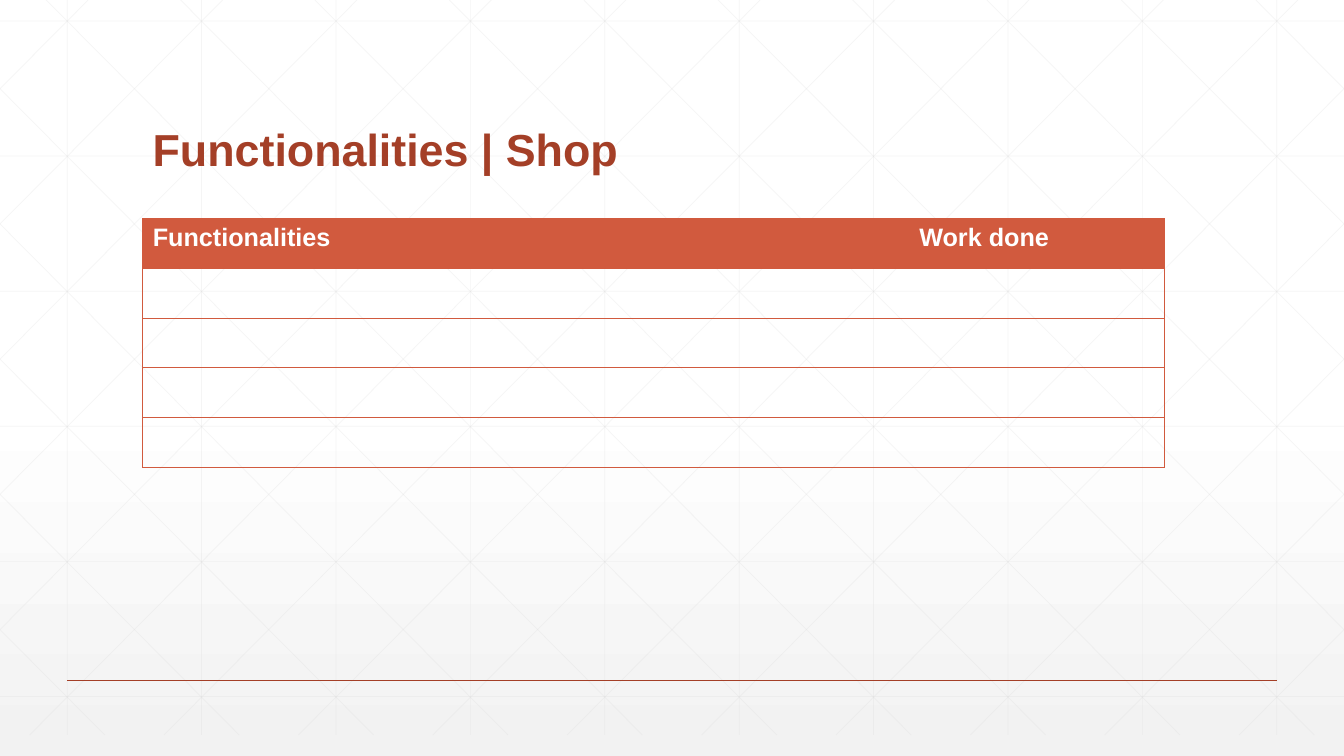
from dataclasses import dataclass

from lxml import etree
from pptx import Presentation
from pptx.dml.color import RGBColor
from pptx.enum.shapes import MSO_CONNECTOR
from pptx.enum.text import MSO_ANCHOR
from pptx.oxml.ns import qn
from pptx.util import Pt

STRAIGHT = MSO_CONNECTOR.STRAIGHT
BOTTOM = MSO_ANCHOR.BOTTOM
PLAIN_TABLE = "{2D5ABB26-0587-4C30-8999-92F81FD0307C}"


@dataclass(frozen=True)
class Theme:
    font: str = "Arial"
    title_size: float = 32
    cell_size: float = 18
    dark: str = "A43F27"
    accent: str = "D15A3E"
    white: str = "FFFFFF"
    grid: str = "D9D9D9"
    fade: str = "F2F2F2"


THEME = Theme()


def add_color(parent, color, alpha=None):
    clr = etree.SubElement(parent, qn("a:srgbClr"), val=color)
    if alpha is not None:
        etree.SubElement(clr, qn("a:alpha"), val=str(alpha * 1000))


def style_text(p, size, color):
    for r in p.runs:
        r.font.name = THEME.font
        r.font.size = Pt(size)
        r.font.bold = True
        r.font.color.rgb = RGBColor.from_string(color)


def add_line(shapes, x1, y1, x2, y2, color, width, alpha=None):
    line = shapes.add_connector(STRAIGHT, Pt(x1), Pt(y1), Pt(x2), Pt(y2))
    line.line.width = Pt(width)
    line.line.color.rgb = RGBColor.from_string(color)
    if alpha is not None:
        clr = line.line._ln.find(".//" + qn("a:srgbClr"))
        etree.SubElement(clr, qn("a:alpha"), val=str(alpha * 1000))
    etree.SubElement(line._element.spPr, qn("a:effectLst"))


def add_background(s):
    fill = s.background.fill
    fill.gradient()
    fill.gradient_angle = 270
    stops = s.element.find(".//" + qn("a:gsLst"))
    for gs in list(stops):
        stops.remove(gs)
    for pos, color, alpha in ((0, THEME.white, None), (53, THEME.white, None),
                              (100, THEME.fade, 65)):
        gs = etree.SubElement(stops, qn("a:gs"), pos=str(pos * 1000))
        add_color(gs, color, alpha)


def add_grid(s, x, y, w, h):
    """Vertical, horizontal and crossing diagonal lines, clipped to the box."""
    step, row_step, slope = 96, 96.5, 0.994
    lines = [(48 + step * i, 0, 48 + step * i, h) for i in range(10)]
    lines += [(0, 15 + row_step * i, w, 15 + row_step * i) for i in range(6)]
    for i in range(-5, 10):
        start = 33 + step * i  # where the diagonal meets the top edge
        y1 = max(0, -start / slope)
        y2 = min(h, (w - start) / slope)
        x1, x2 = start + y1 * slope, start + y2 * slope
        lines += [(x1, y1, x2, y2), (w - x1, y1, w - x2, y2)]
    group = s.shapes.add_group_shape()
    for x1, y1, x2, y2 in lines:
        add_line(group.shapes, x + x1, y + y1, x + x2, y + y2,
                 THEME.grid, 0.5, 25)


def add_title(s, x, y, w, h, text):
    tf = s.shapes.add_textbox(Pt(x), Pt(y), Pt(w), Pt(h)).text_frame
    tf.word_wrap = True
    tf.vertical_anchor = BOTTOM
    p = tf.paragraphs[0]
    p.text = text
    p.line_spacing = 0.9
    style_text(p, THEME.title_size, THEME.dark)


def set_borders(cell, sides):
    tcPr = cell._tc.get_or_add_tcPr()
    for side in "LRTB":
        ln = etree.SubElement(tcPr, qn("a:ln" + side), w=str(Pt(0.5)))
        if side in sides:
            add_color(etree.SubElement(ln, qn("a:solidFill")), THEME.accent)
        else:
            etree.SubElement(ln, qn("a:noFill"))


def add_work_table(s, x, y, w, h, headers, shares, row_count):
    table = s.shapes.add_table(row_count, len(headers),
                               Pt(x), Pt(y), Pt(w), Pt(h)).table
    table.horz_banding = False
    table._tbl.tblPr.find(qn("a:tableStyleId")).text = PLAIN_TABLE
    for row in table.rows:
        row.height = Pt(h / row_count)
    for c, (header, share) in enumerate(zip(headers, shares)):
        table.columns[c].width = Pt(w * share)
        outer = ("L" if c == 0 else "") + ("R" if c == len(headers) - 1 else "")
        for r in range(row_count):
            cell = table.cell(r, c)
            set_borders(cell, "TB" + outer)
            if r == 0:
                cell.fill.solid()
                cell.fill.fore_color.rgb = RGBColor.from_string(THEME.accent)
                cell.text_frame.text = header
                style_text(cell.text_frame.paragraphs[0],
                           THEME.cell_size, THEME.white)
            else:
                cell.fill.background()


def main():
    prs = Presentation()
    prs.slide_width, prs.slide_height = Pt(960), Pt(540)
    s = prs.slides.add_slide(prs.slide_layouts[6])

    # Backdrop
    add_background(s)
    add_grid(s, 0, 0, 960, 525)

    # Footer rule
    add_line(s.shapes, 48, 486, 912, 486, THEME.dark, 1)

    # Content
    add_title(s, 102, 39.6, 756, 90, "Functionalities | Shop")
    add_work_table(s, 102, 156, 730, 178, ("Functionalities", "Work done"),
                   (0.75, 0.25), 5)

    prs.save("out.pptx")


if __name__ == "__main__":
    main()
